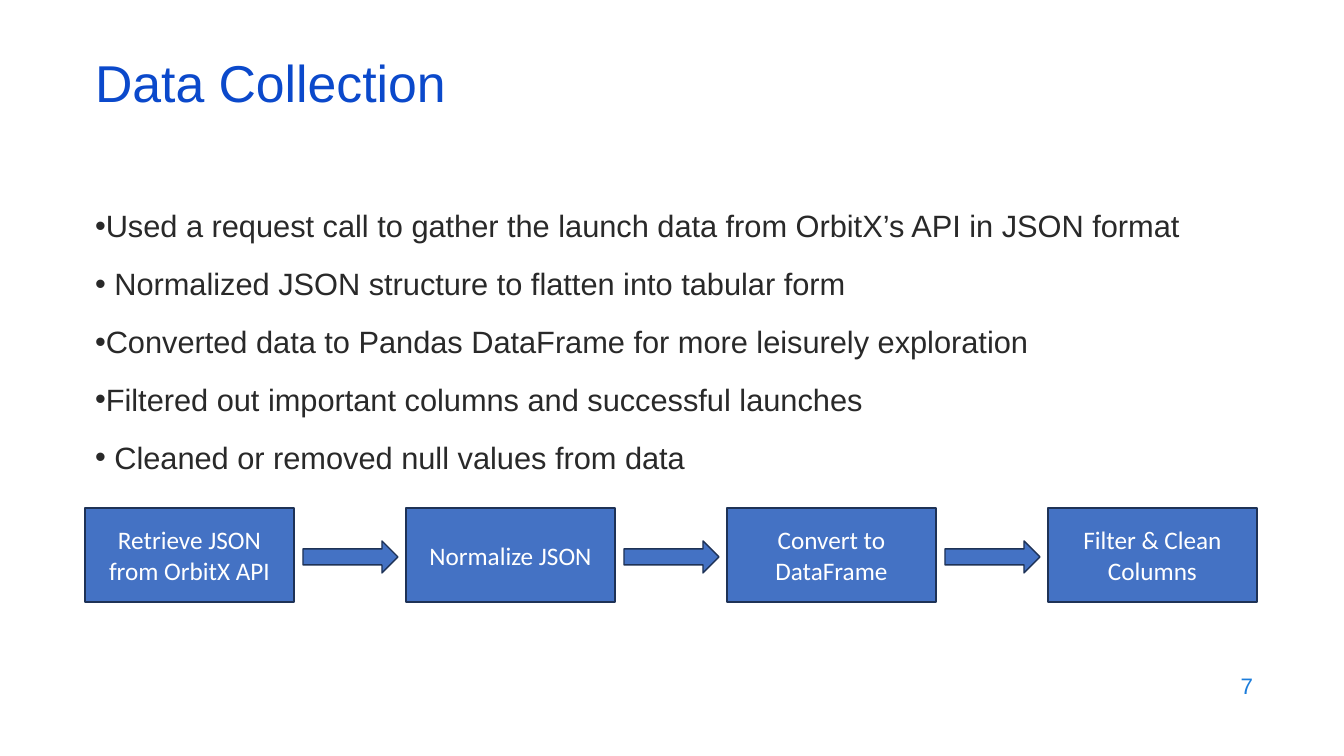
from lxml import etree
from pptx import Presentation
from pptx.dml.color import RGBColor
from pptx.enum.shapes import MSO_SHAPE
from pptx.enum.text import MSO_ANCHOR, MSO_AUTO_SIZE, PP_ALIGN
from pptx.oxml.ns import qn
from pptx.util import Emu, Pt

RECTANGLE = MSO_SHAPE.RECTANGLE
RIGHT_ARROW = MSO_SHAPE.RIGHT_ARROW
MIDDLE, TOP = MSO_ANCHOR.MIDDLE, MSO_ANCHOR.TOP
LEFT, CENTER, RIGHT = PP_ALIGN.LEFT, PP_ALIGN.CENTER, PP_ALIGN.RIGHT
NO_AUTOFIT = MSO_AUTO_SIZE.NONE
EMU_PER_INCH, PX_PER_INCH = 914400, 100.8


def place(shape, *box):
    shape.left, shape.top, shape.width, shape.height = (
        Emu(round(length * EMU_PER_INCH / PX_PER_INCH)) for length in box)


def style_text(shape, font_name, size, color, alignment, anchor):
    frame = shape.text_frame
    frame.word_wrap = True
    frame.auto_size = NO_AUTOFIT
    frame.vertical_anchor = anchor
    for paragraph in frame.paragraphs:
        paragraph.alignment = alignment
        for run in paragraph.runs:
            run.font.name = font_name
            run.font.size = Pt(size)
            run.font.color.rgb = RGBColor.from_string(color)


presentation = Presentation()
presentation.slide_width = Emu(round(1344 * EMU_PER_INCH / PX_PER_INCH))
presentation.slide_height = Emu(round(756 * EMU_PER_INCH / PX_PER_INCH))
slide = presentation.slides.add_slide(presentation.slide_layouts[1])

# Title
title = slide.shapes.title
place(title, 85, 59, 1159, 60)
title.text_frame.text = "Data Collection"
title.text_frame.paragraphs[0].line_spacing = 0.7
style_text(title, "Arial", 37, "0B49CB", LEFT, MIDDLE)

# Bulleted steps, with the text directly after each bullet
body = slide.placeholders[1]
place(body, 85, 202, 1159, 290)
body.text_frame.text = "\n".join([
    "Used a request call to gather the launch data from OrbitX’s API in JSON format",
    " Normalized JSON structure to flatten into tabular form",
    "Converted data to Pandas DataFrame for more leisurely exploration",
    "Filtered out important columns and successful launches",
    " Cleaned or removed null values from data",
])
for index, paragraph in enumerate(body.text_frame.paragraphs):
    properties = paragraph._p.get_or_add_pPr()
    properties.set("marL", "0")
    properties.set("indent", "0")
    etree.SubElement(properties, qn("a:buChar"), char="•")
    paragraph.line_spacing = 1.0
    paragraph.space_before = Pt(15 if index else 0)
style_text(body, "Arial", 22, "292929", LEFT, TOP)

# Process flow: four boxes joined by block arrows
steps = ["Retrieve JSON from OrbitX API", "Normalize JSON",
         "Convert to DataFrame", "Filter & Clean Columns"]
flow = []
for index, step in enumerate(steps):
    offset = index * 321
    flow.append((RECTANGLE, step, (85 + offset, 508, 209, 94)))
    if index < len(steps) - 1:
        flow.append((RIGHT_ARROW, "", (303 + offset, 541, 95, 32)))

for kind, label, box in flow:
    shape = slide.shapes.add_shape(kind, 0, 0, 0, 0)
    place(shape, *box)
    shape.shadow.inherit = False
    shape.fill.solid()
    shape.fill.fore_color.rgb = RGBColor.from_string("4472C4")
    shape.line.color.rgb = RGBColor.from_string("1E3256")
    shape.line.width = Pt(1)
    if label:
        shape.text_frame.text = label
        style_text(shape, "Calibri", 18, "FFFFFF", CENTER, MIDDLE)

# Page number
page_number = slide.shapes.add_textbox(0, 0, 0, 0)
place(page_number, 961, 664, 302, 44)
page_number.text_frame.text = "7"
style_text(page_number, "Arial", 16, "1C7DDB", RIGHT, MIDDLE)

presentation.save("out.pptx")
